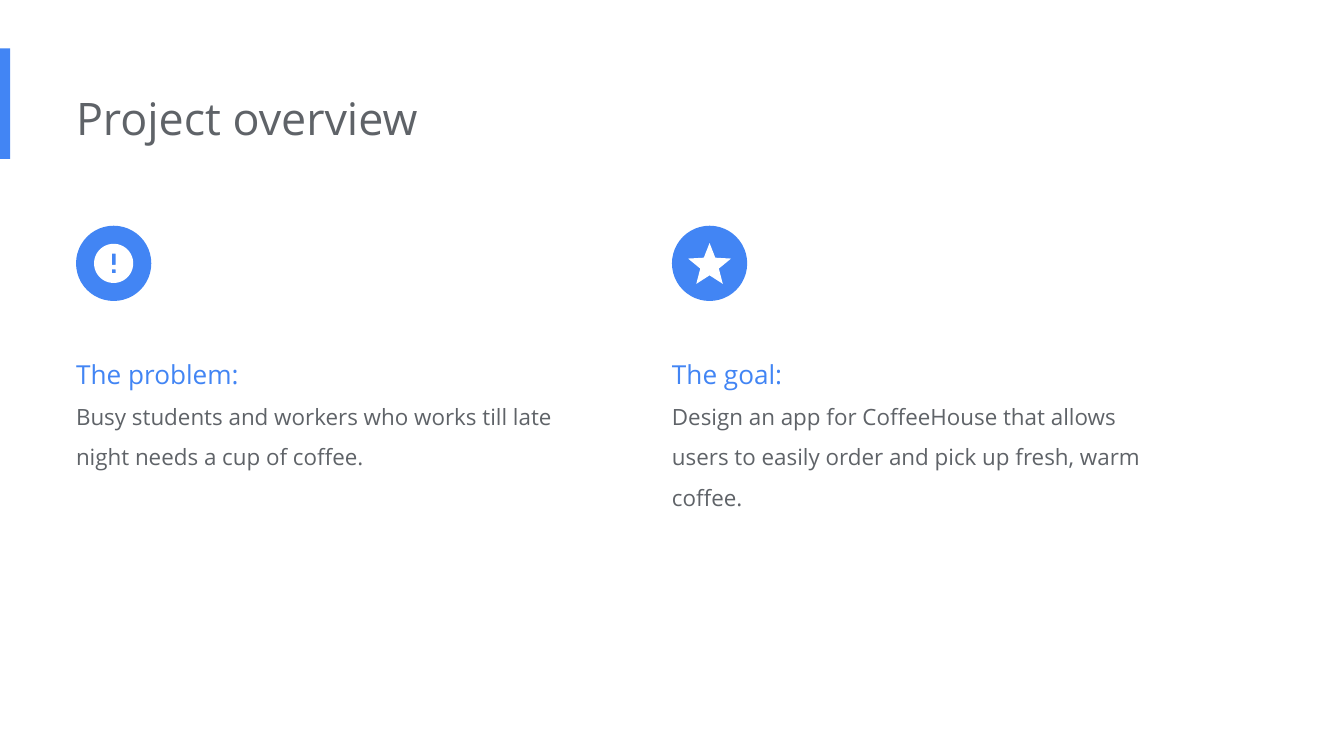
from math import cos, pi, sin

from pptx import Presentation, util as u
from pptx.dml.color import RGBColor
from pptx.enum import shapes, text

BLUE = RGBColor(0x42, 0x85, 0xF4)
GRAY = RGBColor(0x5F, 0x63, 0x68)
WHITE = RGBColor(0xFF, 0xFF, 0xFF)
FONT = "Open Sans"
WIDTH = u.Inches(10)
HEIGHT = WIDTH * 9 // 16
CELL = WIDTH / 100
BADGE = 5.6
LEFT = 5.66


def grid(*cells):
    return [round(c * CELL) for c in cells]


def paint(sp, color):
    sp.fill.solid()
    sp.fill.fore_color.rgb = color
    sp.line.fill.background()
    sp.shadow.inherit = False


def add_preset(s, kind, box, color):
    paint(s.shapes.add_shape(kind, *grid(*box)), color)


def add_outline(s, contours, color):
    first, *holes = [[grid(*point) for point in c] for c in contours]
    builder = s.shapes.build_freeform(*first[0], scale=1.0)
    builder.add_line_segments(first[1:], close=True)
    for hole in holes:
        builder.move_to(*hole[0])
        builder.add_line_segments(hole[1:], close=True)
    paint(builder.convert_to_shape(), color)


def add_text(s, box, lines, spacing=1.0):
    tf = s.shapes.add_textbox(*grid(*box)).text_frame
    frame = {"word_wrap": True, "margin_left": 0,
             "vertical_anchor": text.MSO_ANCHOR.TOP,
             "auto_size": text.MSO_AUTO_SIZE.SHAPE_TO_FIT_TEXT}
    for side in ("margin_top", "margin_right", "margin_bottom"):
        frame[side] = u.Inches(0.1)
    for name, value in frame.items():
        setattr(tf, name, value)
    for i, (words, size, color) in enumerate(lines):
        p = tf.paragraphs[0] if i == 0 else tf.add_paragraph()
        p.line_spacing = spacing
        r = p.add_run()
        r.text = words
        for name, value in {"name": FONT, "size": u.Pt(size)}.items():
            setattr(r.font, name, value)
        r.font.color.rgb = color


def ring(cx, cy, radii, count):
    points = []
    for i in range(count):
        angle = 2 * pi * i / count
        radius = radii[i % len(radii)]
        points.append((cx + radius * sin(angle), cy - radius * cos(angle)))
    return points


def bar(cx, top, width, height):
    left, right = cx - width / 2, cx + width / 2
    return [(left, top), (right, top), (right, top + height), (left, top + height)]


def alert_icon(x, y, size):
    cx, cy = x + size / 2, y + size / 2
    width = 0.05 * size
    return [ring(cx, cy, [0.26 * size], 96),
            bar(cx, y + 0.37 * size, width, 0.15 * size),
            bar(cx, y + 0.58 * size, width, 0.05 * size)]


def star_icon(x, y, size):
    return [ring(x + size / 2, y + 0.53 * size, [0.3 * size, 0.13 * size], 10)]


def add_header(s, x, y, width, height):
    add_preset(s, shapes.MSO_SHAPE.RECTANGLE, (0, y, 0.75, height), BLUE)
    add_text(s, (x, y + 2.14, width, height - 2.14), [("Project overview", 24, GRAY)])


def add_topic(s, x, y, width, height, icon, heading, body):
    add_preset(s, shapes.MSO_SHAPE.OVAL, (x, y, BADGE, BADGE), BLUE)
    add_outline(s, icon(x, y, BADGE), WHITE)
    lines = [(heading, 14, BLUE), (body, 12, GRAY)]
    add_text(s, (x, y + 7.7, width, height - 7.7), lines, 1.5)


def main():
    prs = Presentation()
    prs.slide_width, prs.slide_height = WIDTH, HEIGHT
    s = prs.slides.add_slide(prs.slide_layouts[6])
    add_header(s, LEFT, 3.6, 67.3, 8.23)
    topics = [
        (LEFT, 18.3, alert_icon, "The problem:",
         "Busy students and workers who works till late night needs a cup of coffee."),
        (50, 21.3, star_icon, "The goal:",
         "Design an app for CoffeeHouse that allows users to easily order "
         "and pick up fresh, warm coffee."),
    ]
    for x, height, icon, heading, body in topics:
        add_topic(s, x, 16.8, 37.7, height, icon, heading, body)
    prs.save("out.pptx")


if __name__ == "__main__":
    main()
